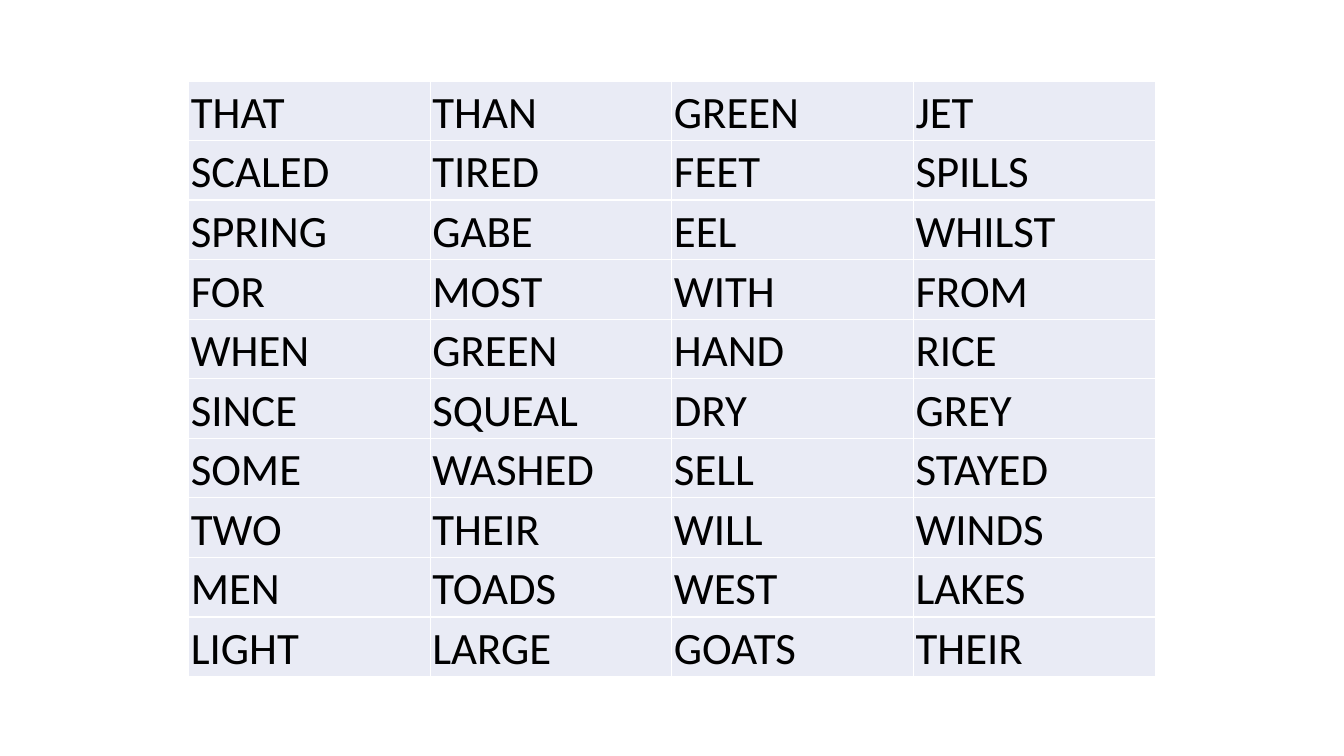
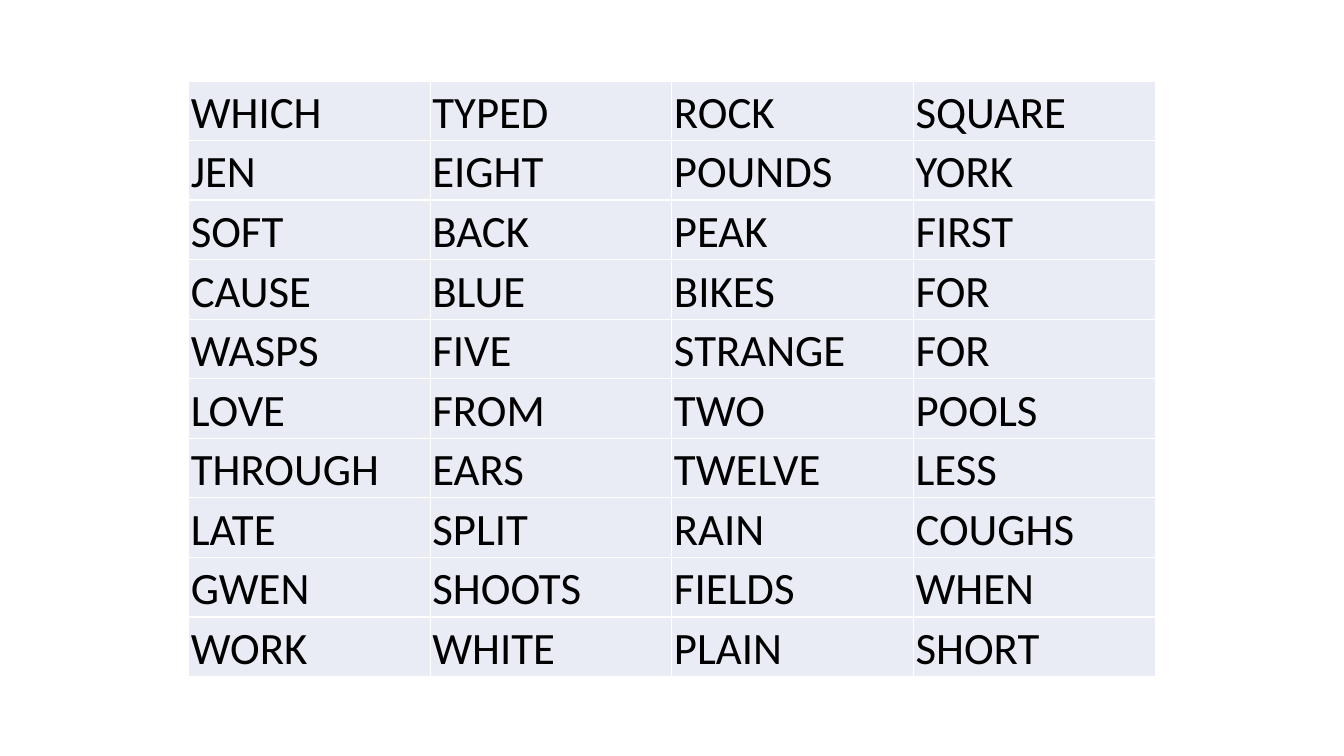
from lxml import etree
from pptx import Presentation
from pptx.dml.color import RGBColor
from pptx.enum.text import MSO_ANCHOR, PP_ALIGN
from pptx.oxml.ns import qn
from pptx.util import Pt

BOTTOM = MSO_ANCHOR.BOTTOM
LEFT = PP_ALIGN.LEFT
BLANK_LAYOUT = 6
CELL_FILL = "E9EBF5"
BORDER = "FFFFFF"
INK = "000000"
TABLE_LEFT, TABLE_TOP = 134.8, 57.8
COLUMN_WIDTH, ROW_HEIGHT = 172.6, 42.55

CELL_FORMAT = {
    "margin_left": Pt(1.5),
    "margin_top": Pt(1.5),
    "margin_right": Pt(1.5),
    "margin_bottom": Pt(0),
    "vertical_anchor": BOTTOM,
}
FONT_FORMAT = {"name": "Calibri", "size": Pt(32), "bold": False}
TABLE_FORMAT = {"first_row": False, "horz_banding": False}

WORD_GRIDS = [
    [
        "THAT THAN GREEN JET",
        "SCALED TIRED FEET SPILLS",
        "SPRING GABE EEL WHILST",
        "FOR MOST WITH FROM",
        "WHEN GREEN HAND RICE",
        "SINCE SQUEAL DRY GREY",
        "SOME WASHED SELL STAYED",
        "TWO THEIR WILL WINDS",
        "MEN TOADS WEST LAKES",
        "LIGHT LARGE GOATS THEIR",
    ],
    [
        "WHICH TYPED ROCK SQUARE",
        "JEN EIGHT POUNDS YORK",
        "SOFT BACK PEAK FIRST",
        "CAUSE BLUE BIKES FOR",
        "WASPS FIVE STRANGE FOR",
        "LOVE FROM TWO POOLS",
        "THROUGH EARS TWELVE LESS",
        "LATE SPLIT RAIN COUGHS",
        "GWEN SHOOTS FIELDS WHEN",
        "WORK WHITE PLAIN SHORT",
    ],
]


def color(value):
    return RGBColor.from_string(value)


def apply_format(target, values):
    for name, value in values.items():
        setattr(target, name, value)


deck = Presentation()
deck.slide_width, deck.slide_height = Pt(960), Pt(540)

for grid in WORD_GRIDS:
    page = deck.slides.add_slide(deck.slide_layouts[BLANK_LAYOUT])
    rows = [line.split() for line in grid]
    row_count, column_count = len(rows), len(rows[0])
    table = page.shapes.add_table(
        row_count, column_count, Pt(TABLE_LEFT), Pt(TABLE_TOP),
        Pt(COLUMN_WIDTH * column_count), Pt(ROW_HEIGHT * row_count),
    ).table
    apply_format(table, TABLE_FORMAT)
    for column in table.columns:
        column.width = Pt(COLUMN_WIDTH)

    for row_index, words in enumerate(rows):
        table.rows[row_index].height = Pt(ROW_HEIGHT)
        for column_index, word in enumerate(words):
            cell = table.cell(row_index, column_index)
            apply_format(cell, CELL_FORMAT)
            properties = cell._tc.get_or_add_tcPr()
            for side in ("lnL", "lnR", "lnT", "lnB"):
                line = etree.SubElement(properties, qn(f"a:{side}"), w=str(Pt(1)))
                line_fill = etree.SubElement(line, qn("a:solidFill"))
                etree.SubElement(line_fill, qn("a:srgbClr"), val=BORDER)
            cell.fill.solid()
            cell.fill.fore_color.rgb = color(CELL_FILL)
            para = cell.text_frame.paragraphs[0]
            para.alignment = LEFT
            span = para.add_run()
            span.text = word
            apply_format(span.font, FONT_FORMAT)
            span.font.color.rgb = color(INK)

deck.save("out.pptx")
